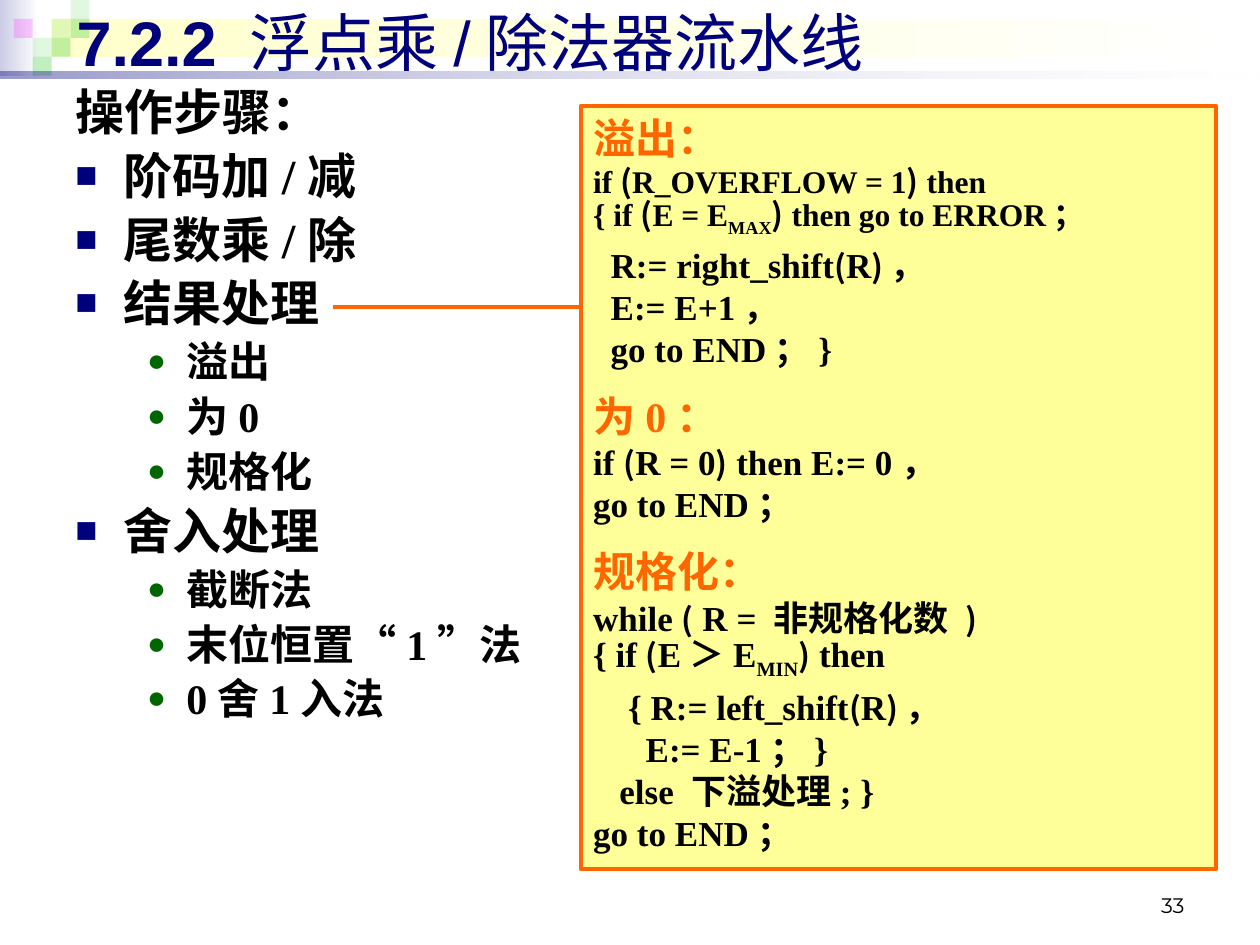
import itertools

import lxml.etree
import pptx
import pptx.dml.color
import pptx.enum.shapes
import pptx.enum.text
import pptx.oxml.ns
import pptx.util
from pptx.util import Inches

COLORS = {
    "navy": "00007D", "lavender": "CCCCE6", "cream": "FFFFCC", "white": "FFFFFF",
    "green": "33CC33", "magenta": "FF00FF", "dark green": "006600",
    "yellow": "FFFF99", "orange": "FF6600", "black": "000000",
}
LATIN, CHINESE = "Times New Roman", "Noto Sans CJK SC"
STEPS = [
    (None, "操作步骤："), (0, "阶码加/减"), (0, "尾数乘/除"), (0, "结果处理"),
    (1, "溢出"), (1, "为0"), (1, "规格化"), (0, "舍入处理"),
    (1, "截断法"), (1, "末位恒置“1”法"), (1, "0舍1入法"),
]
BULLETS = {0: ("■", "navy"), 1: ("●", "dark green")}
ALGORITHMS = [
    ("溢出：", [
        (18, "if (R_OVERFLOW = 1) then"),
        (18, "{ if (E = E~MAX~) then go to ERROR；"),
        (20, "  R:= right_shift(R)，"),
        (20, "  E:= E+1，"),
        (20, "  go to END；}"),
    ]),
    ("为0：", [
        (20, "if (R = 0) then E:= 0，"),
        (20, "go to END；"),
    ]),
    ("规格化：", [
        (20, "while ( R = 非规格化数 )"),
        (20, "{ if (E＞E~MIN~) then"),
        (20, "    { R:= left_shift(R)，"),
        (20, "      E:= E-1；}"),
        (20, "   else 下溢处理; }"),
        (20, "go to END；"),
    ]),
]


def rgb(name):
    """Return the named colour."""
    return pptx.dml.color.RGBColor.from_string(COLORS[name])


def add_element(parent, tag, **attributes):
    """Append a DrawingML element to its parent."""
    return lxml.etree.SubElement(parent, pptx.oxml.ns.qn(tag), attributes)


def add_run(paragraph, text, size, color="black", font=LATIN, bold=True):
    """Add one run with Latin and Chinese fonts."""
    run = paragraph.add_run()
    run.text = text
    run.font.size = pptx.util.Pt(size)
    run.font.bold = bold
    run.font.color.rgb = rgb(color)
    run.font.name = font
    add_element(run.font._element, "a:ea", typeface=CHINESE)
    return run


def add_line(paragraph, text, size, color="black"):
    """Fill a paragraph, with subscripts between tildes and Chinese punctuation."""
    paragraph.line_spacing = pptx.util.Pt(size * 1.2)
    for index, part in enumerate(text.split("~")):
        for special, letters in itertools.groupby(part, lambda letter: letter in "()“”"):
            piece = "".join(letters)
            run_size = min(size, 18) if piece in ("(", ")") else size
            run = add_run(paragraph, piece, run_size, color, CHINESE if special else LATIN)
            if index % 2:
                run.font._element.set("baseline", "-25000")
                paragraph.space_after = pptx.util.Pt(3)


def next_paragraph(frame):
    """Return the empty first paragraph or a new one."""
    first = frame.paragraphs[0]
    return frame.add_paragraph() if first.runs else first


def add_text_frame(slide, left, top, width, height, anchor):
    """Add a wrapping text box and return its frame."""
    frame = slide.shapes.add_textbox(Inches(left), Inches(top), Inches(width), Inches(height)).text_frame
    frame.word_wrap = True
    frame.vertical_anchor = anchor
    return frame


def add_block(slide, left, top, width, height, colors, opacities):
    """Add a borderless rectangle with a plain or two-colour fill."""
    shape = slide.shapes.add_shape(
        pptx.enum.shapes.MSO_SHAPE.RECTANGLE, Inches(left), Inches(top), Inches(width), Inches(height))
    shape.shadow.inherit = False
    shape.line.fill.background()
    if len(colors) == 1:
        shape.fill.solid()
        shape.fill.fore_color.rgb = rgb(colors[0])
    else:
        shape.fill.gradient()
        shape.fill.gradient_angle = 0
        for stop, color in zip(shape.fill.gradient_stops, colors):
            stop.color.rgb = rgb(color)
    color_elements = shape._element.spPr.iter(pptx.oxml.ns.qn("a:srgbClr"))
    for element, opacity in zip(color_elements, opacities):
        add_element(element, "a:alpha", val=str(opacity * 1000))


def add_header(slide, left, top, width):
    """Draw the gradient bands and the small mosaic."""
    add_block(slide, left, top, 0.31, 0.6, ["lavender", "white"], [])
    add_block(slide, left + 0.41, top + 0.15, width - 0.45, 0.3, ["cream", "white"], [])
    side = 0.15
    tiles = [(2, 1, "green", 15), (3, 0, "green", 15), (3, 1, "green", 30), (1, 2, "green", 15),
             (0, 1, "magenta", 20), (2, 2, "green", 30), (1, 3, "green", 30)]
    for column, row, color, opacity in tiles:
        add_block(slide, left + 0.11 + column * side, top + row * side, side, side, [color], [opacity])
    add_block(slide, left, top + 0.57, width, 0.05, ["navy", "white"], [40, 10])


def add_title(slide, left, top, width, height):
    """Write the section number and title."""
    frame = add_text_frame(slide, left, top, width, height, pptx.enum.text.MSO_ANCHOR.MIDDLE)
    paragraph = frame.paragraphs[0]
    add_run(paragraph, "7.2.2 ", 36, "navy", "Arial")
    add_run(paragraph, "浮点乘/除法器流水线", 36, "navy", "Arial", False)


def add_steps(slide, left, top, width, height):
    """Write the bulleted operation steps."""
    frame = add_text_frame(slide, left, top, width, height, pptx.enum.text.MSO_ANCHOR.TOP)
    for level, text in STEPS:
        paragraph = next_paragraph(frame)
        size = 24 if level else 28
        if paragraph is not frame.paragraphs[0] and level is not None:
            paragraph.space_before = pptx.util.Pt(size * 0.1)
        margin, indent = (0.88, -0.31) if level else (0.38, -0.38)
        paragraph.level = level or 0
        add_line(paragraph, text, size)
        properties = paragraph._p.get_or_add_pPr()
        properties.set("marL", str(Inches(margin)))
        properties.set("indent", str(Inches(indent)))
        if level is not None:
            symbol, color = BULLETS[level]
            add_element(add_element(properties, "a:buClr"), "a:srgbClr", val=COLORS[color])
            add_element(properties, "a:buSzPct", val="75000")
            add_element(properties, "a:buFont", typeface="Arial")
            add_element(properties, "a:buChar", char=symbol)


def add_algorithms(slide, left, top, width, height):
    """Draw the panel of result-handling algorithms."""
    panel = slide.shapes.add_shape(
        pptx.enum.shapes.MSO_SHAPE.RECTANGLE, Inches(left), Inches(top), Inches(width), Inches(height))
    panel.shadow.inherit = False
    panel.fill.solid()
    panel.fill.fore_color.rgb = rgb("yellow")
    panel.line.color.rgb = rgb("orange")
    panel.line.width = pptx.util.Pt(2.25)
    frame = panel.text_frame
    frame.word_wrap = True
    frame.vertical_anchor = pptx.enum.text.MSO_ANCHOR.TOP
    for index, (heading, lines) in enumerate(ALGORITHMS):
        paragraph = next_paragraph(frame)
        if index:
            paragraph.space_before = pptx.util.Pt(12)
        add_line(paragraph, heading, 24, "orange")
        paragraph.alignment = pptx.enum.text.PP_ALIGN.LEFT
        for size, text in lines:
            paragraph = next_paragraph(frame)
            paragraph.alignment = pptx.enum.text.PP_ALIGN.LEFT
            add_line(paragraph, text, size)


def add_link(slide, left, top, width):
    """Connect the result step to its panel."""
    connector = slide.shapes.add_connector(
        pptx.enum.shapes.MSO_CONNECTOR.STRAIGHT, Inches(left), Inches(top), Inches(left + width), Inches(top))
    connector.line.color.rgb = rgb("orange")
    connector.line.width = pptx.util.Pt(2.25)
    add_element(connector._element.spPr, "a:effectLst")


def add_page_number(slide, left, top, width, height):
    """Write the page number."""
    frame = add_text_frame(slide, left, top, width, height, pptx.enum.text.MSO_ANCHOR.BOTTOM)
    frame.paragraphs[0].alignment = pptx.enum.text.PP_ALIGN.RIGHT
    add_run(frame.paragraphs[0], "33", 12, font="Montserrat", bold=False)


def main():
    """Build and save the slide."""
    presentation = pptx.Presentation()
    presentation.slide_width, presentation.slide_height = Inches(10), Inches(7.5)
    slide = presentation.slides.add_slide(presentation.slide_layouts[6])
    add_header(slide, 0, 0, 10)
    add_page_number(slide, 7.17, 6.83, 2.33, 0.5)
    add_title(slide, 0.51, -0.03, 9.37, 0.71)
    add_steps(slide, 0.5, 0.6, 9.38, 6.77)
    add_algorithms(slide, 4.61, 0.84, 5.04, 6.06)
    add_link(slide, 2.64, 2.44, 1.97)
    presentation.save("out.pptx")


if __name__ == "__main__":
    main()
